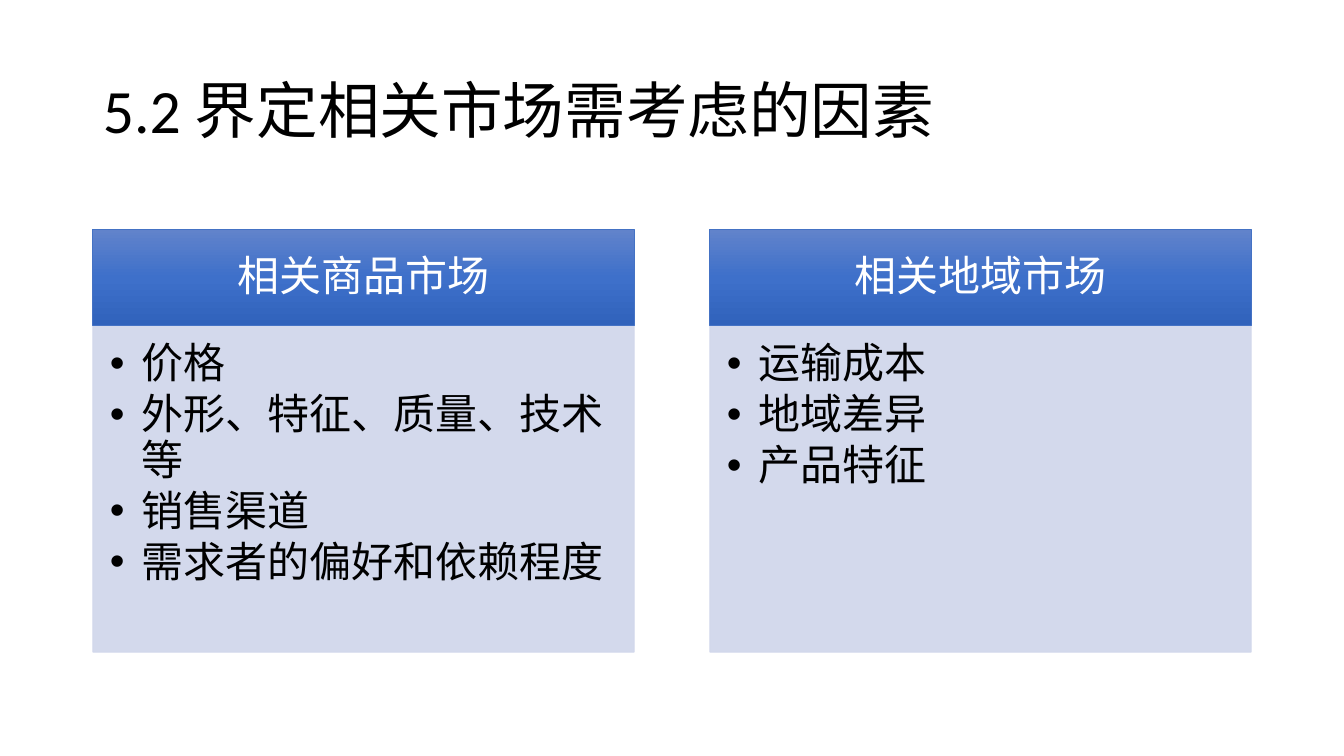
from copy import deepcopy

from pptx import Presentation
from pptx.dml.color import RGBColor
from pptx.enum.shapes import MSO_SHAPE
from pptx.enum.text import MSO_ANCHOR, MSO_AUTO_SIZE, PP_ALIGN
from pptx.oxml.ns import qn
from pptx.oxml.xmlchemy import OxmlElement
from pptx.util import Pt

PX = 9144
FONT = "Calibri"
COLORS = {
    "text": "000000",
    "heading": "FFFFFF",
    "heading_line": "4472C4",
    "gradient_top": "6183CB",
    "gradient_middle": "3E70CA",
    "gradient_bottom": "3062BB",
    "panel": "CFD5EA",
}
LEFT, COLUMN_WIDTH, COLUMN_STEP = 92, 537, 612
HEADING_TOP, HEADING_HEIGHT = 228, 95
PANEL_HEIGHT = 324
BULLET_INDENT = 31
COLUMNS = [
    ("相关商品市场", ["价格", "外形、特征、质量、技术等", "销售渠道", "需求者的偏好和依赖程度"]),
    ("相关地域市场", ["运输成本", "地域差异", "产品特征"]),
]


def color(name):
    return RGBColor.from_string(COLORS[name])


def place(box, left, top, width, height):
    box.left, box.top = left * PX, top * PX
    box.width, box.height = width * PX, height * PX


def set_frame(box, anchor, left, top, right, bottom):
    frame = box.text_frame
    frame.word_wrap = True
    frame.auto_size = MSO_AUTO_SIZE.NONE
    frame.vertical_anchor = anchor
    frame.margin_left, frame.margin_top = left * PX, top * PX
    frame.margin_right, frame.margin_bottom = right * PX, bottom * PX


def format_para(para, size, color_name, align):
    para.alignment = align
    para.line_spacing = 0.9
    para.space_before = Pt(0)
    para.font.name = FONT
    para.font.size = Pt(size)
    para.font.color.rgb = color(color_name)


def set_alpha(fill, percent):
    alpha = OxmlElement("a:alpha")
    alpha.set("val", str(percent * 1000))
    fill.find(qn("a:srgbClr")).append(alpha)


def fill_gradient(shape):
    shape.fill.gradient()
    shape.fill.gradient_angle = 270
    stop_list = shape._element.spPr.find(qn("a:gradFill")).find(qn("a:gsLst"))
    stop_list.insert(1, deepcopy(stop_list[0]))
    names = ["gradient_top", "gradient_middle", "gradient_bottom"]
    for index, (stop, name) in enumerate(zip(shape.fill.gradient_stops, names)):
        stop.position = index / 2
        stop.color.rgb = color(name)


def add_title(page, text):
    title = page.shapes.title
    place(title, LEFT, 40, 1150, 145)
    title.text_frame.text = text
    set_frame(title, MSO_ANCHOR.MIDDLE, 10, 5, 10, 5)
    format_para(title.text_frame.paragraphs[0], 44, "text", PP_ALIGN.LEFT)


def add_heading(page, left, text):
    heading = page.shapes.add_shape(MSO_SHAPE.RECTANGLE, 0, 0, 0, 0)
    place(heading, left, HEADING_TOP, COLUMN_WIDTH, HEADING_HEIGHT)
    heading.shadow.inherit = False
    fill_gradient(heading)
    heading.line.color.rgb = color("heading_line")
    heading.line.width = Pt(0.5)
    heading.text_frame.text = text
    set_frame(heading, MSO_ANCHOR.MIDDLE, 23, 13, 23, 13)
    format_para(heading.text_frame.paragraphs[0], 30, "heading", PP_ALIGN.CENTER)


def fill_panel(panel, left, items):
    place(panel, left, HEADING_TOP + HEADING_HEIGHT, COLUMN_WIDTH, PANEL_HEIGHT)
    panel.fill.solid()
    panel.fill.fore_color.rgb = color("panel")
    panel.line.color.rgb = color("panel")
    panel.line.width = Pt(0.5)
    properties = panel._element.spPr
    for owner in (properties, properties.find(qn("a:ln"))):
        set_alpha(owner.find(qn("a:solidFill")), 90)
    panel.text_frame.text = "\n".join(items)
    set_frame(panel, MSO_ANCHOR.TOP, 17, 17, 23, 26)
    for para in panel.text_frame.paragraphs:
        format_para(para, 30, "text", PP_ALIGN.LEFT)
        para.space_after = Pt(4)
        indents = para._p.get_or_add_pPr()
        indents.set("marL", str(BULLET_INDENT * PX))
        indents.set("indent", str(-BULLET_INDENT * PX))


def main():
    deck = Presentation()
    deck.slide_width, deck.slide_height = 1333 * PX, 750 * PX
    page = deck.slides.add_slide(deck.slide_layouts.get_by_name("Two Content"))
    add_title(page, "5.2 界定相关市场需考虑的因素")
    for index, (heading, items) in enumerate(COLUMNS):
        left = LEFT + index * COLUMN_STEP
        add_heading(page, left, heading)
        fill_panel(page.placeholders[index + 1], left, items)
    deck.save("out.pptx")


if __name__ == "__main__":
    main()
